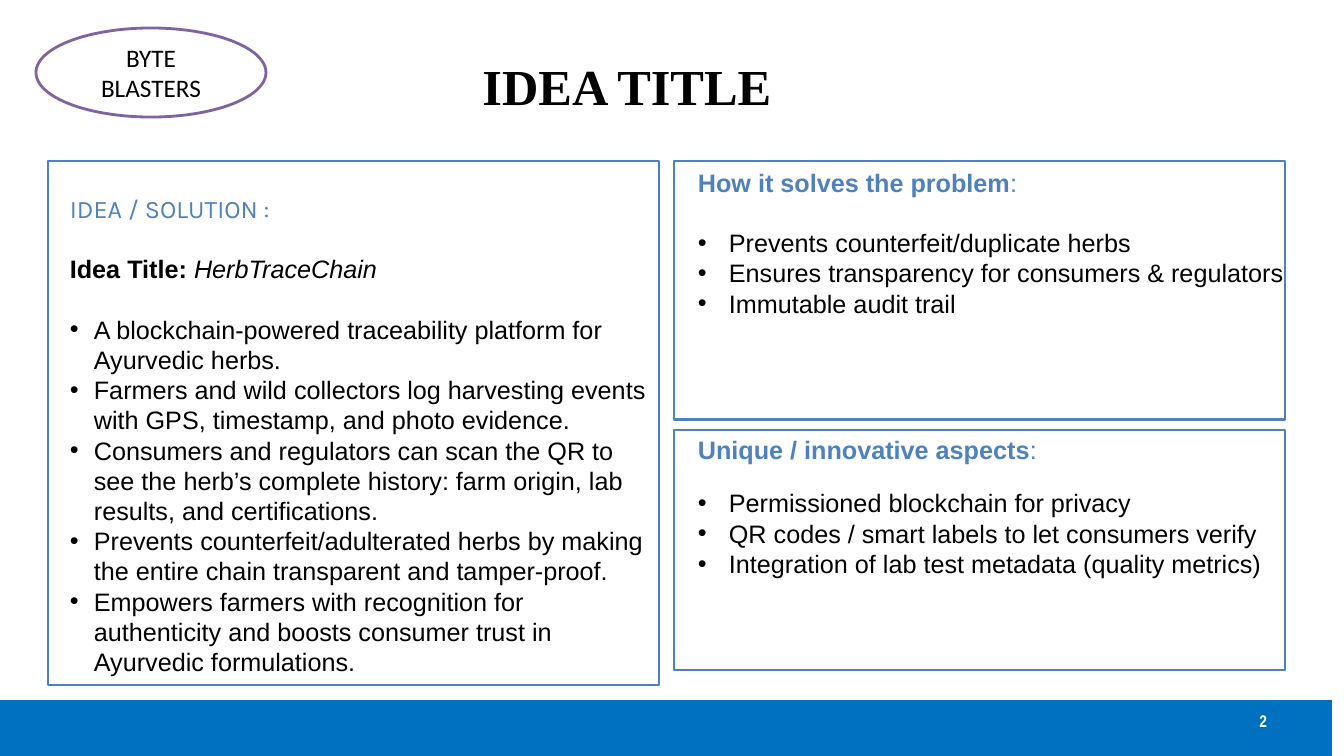
from pptx import Presentation
from pptx.dml.color import RGBColor as Rgb
from pptx.enum.shapes import MSO_SHAPE as Kind
from pptx.enum.text import MSO_ANCHOR as Anchor, PP_ALIGN as Align
from pptx.util import Pt
from lxml.etree import SubElement as Sub
from pptx.oxml.ns import qn

# Content
COLORS = {"bar": "0070C0", "blue": "4F81BD", "violet": "8064A2",
          "white": "FFFFFF", "black": "000000"}
TITLE = "IDEA TITLE"
TEAM = "BYTE BLASTERS"
PAGE = "2"
IDEA = [("Idea Title: ", "bold"), ("HerbTraceChain", "italic")]
# Panels: frame, text box, heading runs, lead runs, gap in pt, indent, points
PANELS = [
    {"frame": (48, 161, 611, 524), "text": (60, 188, 599, 494),
     "head": [("IDEA / SOLUTION :", "plain")], "font": "Karla",
     "lead": IDEA, "gap": 21.6, "indent": 24,
     "points": [
         "A blockchain-powered traceability platform for Ayurvedic herbs.",
         "Farmers and wild collectors log harvesting events with GPS, "
         "timestamp, and photo evidence.",
         "Consumers and regulators can scan the QR to see the herb’s complete "
         "history: farm origin, lab results, and certifications.",
         "Prevents counterfeit/adulterated herbs by making the entire chain "
         "transparent and tamper-proof.",
         "Empowers farmers with recognition for authenticity and boosts "
         "consumer trust in Ayurvedic formulations."]},
    {"frame": (674, 161, 611, 259), "text": (688, 162, 608, 194),
     "head": [("How it solves the problem", "bold"), (":", "plain")],
     "font": "Arial", "lead": [], "gap": 21.6, "indent": 31,
     "points": ["Prevents counterfeit/duplicate herbs",
                "Ensures transparency for consumers & regulators",
                "Immutable audit trail"]},
    {"frame": (674, 430, 611, 240), "text": (688, 429, 608, 186),
     "head": [("Unique / innovative aspects", "bold"), (":", "plain")],
     "font": "Arial", "lead": [], "gap": 16.8, "indent": 31,
     "points": ["Permissioned blockchain for privacy",
                "QR codes / smart labels to let consumers verify",
                "Integration of lab test metadata (quality metrics)"]},
]
SCALE = 914400 / 100.8
SIZE, PITCH = 18, 21.6


def px(n):
    return round(n * SCALE)


def color(name):
    return Rgb.from_string(COLORS[name])


deck = Presentation()
deck.slide_width, deck.slide_height = px(1344), px(756)
slide = deck.slides.add_slide(deck.slide_layouts[6])


def shape(kind, box, fill=None, line=None):
    item = slide.shapes.add_shape(kind, *map(px, box))
    item.shadow.inherit = False
    if fill:
        item.fill.solid()
        item.fill.fore_color.rgb = color(fill)
    else:
        item.fill.background()
    if line:
        item.line.color.rgb = color(line)
        item.line.width = Pt(2)
    else:
        item.line.fill.background()
    return item


def frame(item, anchor):
    text = item.text_frame
    text.word_wrap = True
    text.vertical_anchor = anchor
    return text


def box(place, anchor=Anchor.TOP):
    return frame(slide.shapes.add_textbox(*map(px, place)), anchor)


def write(para, runs, font="Arial", size=SIZE, ink="black"):
    for words, style in runs:
        run = para.add_run()
        run.text = words
        run.font.name, run.font.size = font, Pt(size)
        run.font.color.rgb = color(ink)
        run.font.bold = style == "bold"
        run.font.italic = style == "italic"


def label(text, words, align, font, size, ink, style):
    para = text.paragraphs[0]
    para.alignment = align
    write(para, [(words, style)], font, size, ink)


def bullet(para, indent):
    props = para._p.get_or_add_pPr()
    props.set("marL", str(px(indent)))
    props.set("indent", str(-px(indent)))
    tint = Sub(Sub(props, qn("a:buClr")), qn("a:srgbClr"))
    tint.set("val", COLORS["black"])
    Sub(props, qn("a:buFont")).set("typeface", "Arial")
    Sub(props, qn("a:buChar")).set("char", "•")


def panel(part):
    shape(Kind.RECTANGLE, part["frame"], line="blue")
    text = box(part["text"])
    head = text.paragraphs[0]
    head.line_spacing = Pt(PITCH)
    write(head, part["head"], part["font"], ink="blue")
    if part["lead"]:
        lead = text.add_paragraph()
        lead.line_spacing = Pt(PITCH)
        lead.space_before = Pt(part["gap"])
        write(lead, part["lead"])
    for i, words in enumerate(part["points"]):
        para = text.add_paragraph()
        bullet(para, part["indent"])
        para.line_spacing = Pt(PITCH)
        para.space_before = Pt(0 if i else part["gap"])
        write(para, [(words, "plain")])


# Footer bar and page number
shape(Kind.RECTANGLE, (-12, 700, 1344, 56), fill="bar")
label(box((964, 701, 313, 40), Anchor.MIDDLE), PAGE, Align.RIGHT,
      "Arial Narrow", 12, "white", "bold")

# Title and team badge
label(box((22, 34, 1210, 103), Anchor.MIDDLE), TITLE, Align.CENTER,
      "Times New Roman", 36, "black", "bold")
badge = shape(Kind.OVAL, (36, 28, 230, 89), "white", "violet")
label(frame(badge, Anchor.MIDDLE), TEAM, Align.CENTER,
      "Calibri", SIZE, "black", "plain")

# Panels
for part in PANELS:
    panel(part)

deck.save("out.pptx")
